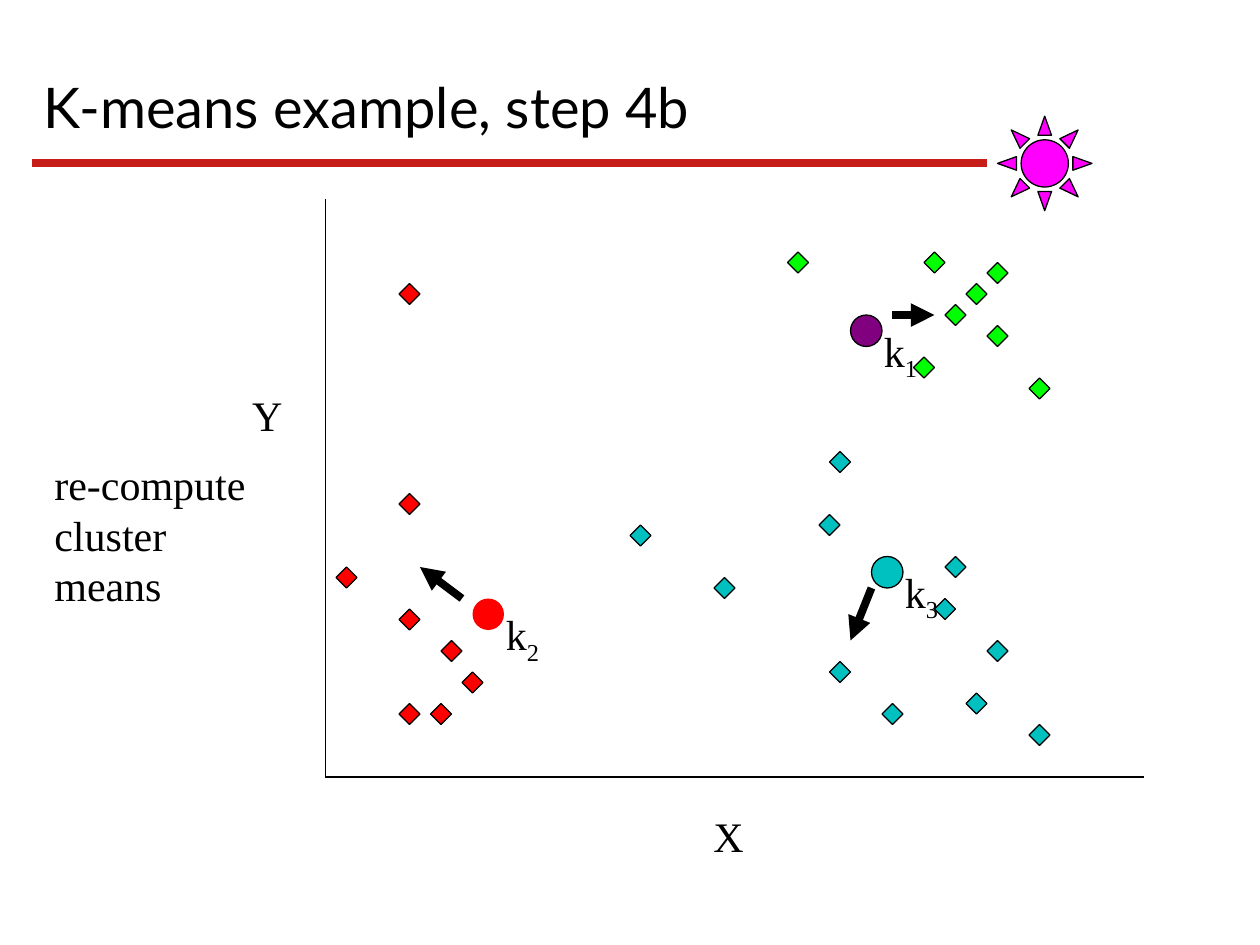
from dataclasses import dataclass

from pptx import Presentation
from pptx.dml.color import RGBColor
from pptx.enum.shapes import MSO_CONNECTOR, MSO_SHAPE
from pptx.enum.text import MSO_ANCHOR, MSO_AUTO_SIZE, PP_ALIGN
from pptx.oxml import parse_xml
from pptx.oxml.ns import nsdecls
from pptx.util import Cm, Pt

BLACK = RGBColor(0x00, 0x00, 0x00)
RED = RGBColor(0xFF, 0x00, 0x00)
GREEN = RGBColor(0x00, 0xFF, 0x00)
TEAL = RGBColor(0x00, 0xC0, 0xC0)
PURPLE = RGBColor(0x80, 0x00, 0x80)
MAGENTA = RGBColor(0xFF, 0x00, 0xFF)
RULE_RED = RGBColor(0xC7, 0x1D, 0x19)

TITLE_FONT = {"name": "Lato", "size": Pt(32), "bold": False}
LABEL_FONT = {"name": "Times New Roman", "size": Pt(24)}

CLUSTERS = {
    RED: [(12, 43), (14, 46), (11, 49), (8, 40), (8, 9), (8, 29), (8, 49), (2, 36)],
    GREEN: [(58, 6), (64, 7), (62, 9), (60, 11), (64, 13), (68, 18), (45, 6), (57, 16)],
    TEAL: [(30, 32), (49, 25), (49, 45), (54, 49), (59, 39), (48, 31),
           (38, 37), (64, 43), (62, 48), (60, 35), (68, 51)],
}
MEANS = [
    ("1", (50, 11), PURPLE, BLACK),
    ("3", (52, 34), TEAL, BLACK),
    ("2", (14, 38), RED, None),
]
MOVES = [((13, 38), (9, 35)), ((52, 37), (50, 42)), ((54, 11), (58, 11))]


@dataclass
class Box:
    left: int
    top: int
    width: int
    height: int

    def inner(self, left, top, width, height):
        return Box(self.left + left, self.top + top, width, height)

    def bounds(self):
        return self.left, self.top, self.width, self.height


def grid(steps):
    return Cm(2.54 * steps / 12)


def format_span(span, values, colour=BLACK):
    for name, value in values.items():
        setattr(span.font, name, value)
    span.font.color.rgb = colour


def format_frame(frame, anchor):
    values = {
        "word_wrap": True,
        "auto_size": MSO_AUTO_SIZE.NONE,
        "vertical_anchor": anchor,
        "margin_left": Cm(0.25),
        "margin_right": Cm(0.25),
        "margin_top": Cm(0.13),
        "margin_bottom": Cm(0.13),
    }
    for name, value in values.items():
        setattr(frame, name, value)


def add_shape(page, kind, box, fill, line=BLACK):
    shape = page.shapes.add_shape(kind, *box.bounds())
    shape.shadow.inherit = False
    shape.fill.solid()
    shape.fill.fore_color.rgb = fill
    if line is None:
        shape.line.fill.background()
    else:
        shape.line.color.rgb = line
        shape.line.width = Pt(0.75)


def add_line(page, start, end, width, colour=BLACK, arrow=False):
    line = page.shapes.add_connector(MSO_CONNECTOR.STRAIGHT, *start, *end)
    line.line.color.rgb = colour
    line.line.width = Pt(width)
    if arrow:
        line.line._get_or_add_ln().append(
            parse_xml(f'<a:tailEnd {nsdecls("a")} type="triangle"/>'))
    line._element.spPr.append(parse_xml(f'<a:effectLst {nsdecls("a")}/>'))


def add_label(page, box, text, subscript="", anchor=MSO_ANCHOR.TOP):
    frame = page.shapes.add_textbox(*box.bounds()).text_frame
    format_frame(frame, anchor)
    para = frame.paragraphs[0]
    para.line_spacing = Pt(29)
    span = para.add_run()
    span.text = text
    format_span(span, LABEL_FONT)
    if subscript:
        span = para.add_run()
        span.text = subscript
        format_span(span, LABEL_FONT)
        span.font._element.set("baseline", "-25000")


def add_header(page, box):
    title = page.shapes.title
    title.left, title.top, title.width, title.height = box.inner(
        0, 0, Cm(18.21), Cm(1.47)).bounds()
    format_frame(title.text_frame, MSO_ANCHOR.BOTTOM)
    para = title.text_frame.paragraphs[0]
    para.alignment = PP_ALIGN.LEFT
    para.line_spacing = 1.13
    span = para.add_run()
    span.text = "K-means example, step 4b"
    format_span(span, TITLE_FONT)

    rule_top = box.top + Cm(1.81)
    add_line(page, (box.left, rule_top), (box.left + grid(91), rule_top), 4.5, RULE_RED)
    sun = box.inner(grid(92), Cm(0.86), grid(9), grid(9))
    add_shape(page, MSO_SHAPE.SUN, sun, MAGENTA)


def add_plot(page, box):
    def point(column, row):
        return box.left + grid(column), box.top + grid(row)

    for colour, centres in CLUSTERS.items():
        for column, row in centres:
            diamond = box.inner(grid(column - 1), grid(row - 1), grid(2), grid(2))
            add_shape(page, MSO_SHAPE.DIAMOND, diamond, colour)

    for start, end in MOVES:
        add_line(page, point(*start), point(*end), 4.5, arrow=True)

    origin = (box.left, box.top + box.height)
    add_line(page, (box.left, box.top), origin, 0.75)
    add_line(page, origin, (box.left + box.width, origin[1]), 0.75)
    add_label(page, box.inner(Cm(7.57), Cm(12.18), Cm(1.12), Cm(1.27)), "X")
    add_label(page, box.inner(Cm(-1.73), Cm(3.7), Cm(1.12), Cm(1.27)), "Y")

    for number, (column, row), fill, line in MEANS:
        circle = box.inner(grid(column), grid(row), grid(3), grid(3))
        add_shape(page, MSO_SHAPE.OVAL, circle, fill, line)
        label = circle.inner(grid(2), grid(1), grid(7), grid(6))
        add_label(page, label, "k", number, MSO_ANCHOR.MIDDLE)


def main():
    deck = Presentation()
    deck.slide_width, deck.slide_height = Cm(25.4), Cm(19.05)
    page = deck.slides.add_slide(deck.slide_layouts[5])
    add_header(page, Box(grid(3), grid(7), grid(101), grid(13)))
    add_plot(page, Box(grid(31), grid(19), grid(78), grid(55)))
    add_label(page, Box(grid(4), grid(43), grid(24), Cm(3.3)), "re-compute cluster means")
    deck.save("out.pptx")


if __name__ == "__main__":
    main()
